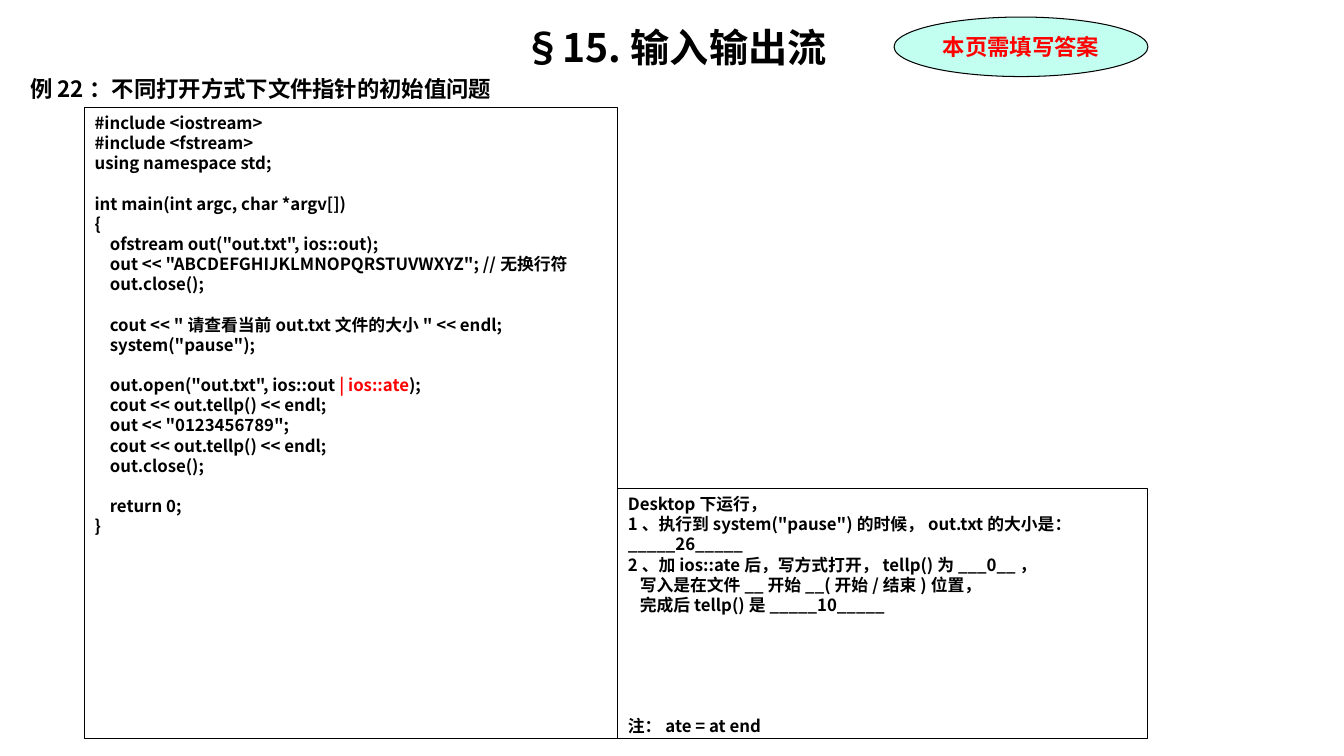
from dataclasses import dataclass, field

from lxml.etree import SubElement
from pptx import Presentation
from pptx.dml.color import RGBColor
from pptx.enum.shapes import MSO_SHAPE
from pptx.enum.text import MSO_ANCHOR, PP_ALIGN
from pptx.oxml.ns import qn
from pptx.util import Pt


@dataclass(frozen=True)
class Theme:
    black: RGBColor = RGBColor(0x00, 0x00, 0x00)
    red: RGBColor = RGBColor(0xFF, 0x00, 0x00)
    mint: RGBColor = RGBColor(0xC2, 0xFF, 0xF0)
    sans: str = "Noto Sans CJK SC"
    serif: str = "Times New Roman"
    title: float = 28
    heading: float = 16
    body: float = 12
    leading: float = 1.2
    outline: float = 0.75


THEME = Theme()
BODY_LINE = THEME.body * THEME.leading


@dataclass(frozen=True)
class Span:
    text: str
    color: RGBColor = THEME.black


@dataclass(frozen=True)
class Line:
    spans: list[Span]
    size: float = THEME.body
    align: PP_ALIGN = PP_ALIGN.LEFT
    before: float = 0
    indent: float = 0


@dataclass(frozen=True)
class Panel:
    left: float
    top: float
    width: float
    height: float
    lines: list[Line] = field(default_factory=list)
    preset: MSO_SHAPE | None = MSO_SHAPE.RECTANGLE
    fill: RGBColor | None = None
    latin: str = THEME.sans
    anchor: MSO_ANCHOR = MSO_ANCHOR.TOP


def code_lines(source: str, highlight: str) -> list[Line]:
    """One line per statement; an empty source line becomes space before."""
    lines, gap = [], 0.0
    for statement in source.strip().split("\n"):
        if not statement:
            gap += BODY_LINE
            continue
        head, mark, tail = statement.partition(highlight)
        spans = [Span(head), Span(mark, THEME.red), Span(tail)]
        lines.append(Line([span for span in spans if span.text], before=gap))
        gap = 0.0
    return lines


def write_line(paragraph, line: Line, latin: str) -> None:
    layout = {
        "alignment": line.align,
        "line_spacing": Pt(line.size * THEME.leading),
        "space_before": Pt(line.before),
    }
    for name, value in layout.items():
        setattr(paragraph, name, value)
    if line.indent:
        properties = paragraph._p.get_or_add_pPr()
        properties.set("marL", str(Pt(line.indent)))
        properties.set("indent", "0")
    for span in line.spans:
        run = paragraph.add_run()
        run.text = span.text
        for name, value in {"name": latin, "size": Pt(line.size), "bold": True}.items():
            setattr(run.font, name, value)
        run.font.color.rgb = span.color
        SubElement(run._r.get_or_add_rPr(), qn("a:ea")).set("typeface", THEME.sans)


def draw_panel(shapes, panel: Panel) -> None:
    frame = [Pt(v) for v in (panel.left, panel.top, panel.width, panel.height)]
    if panel.preset is None:
        shape = shapes.add_textbox(*frame)
    else:
        shape = shapes.add_shape(panel.preset, *frame)
        shape.shadow.inherit = False
        shape.line.color.rgb = THEME.black
        shape.line.width = Pt(THEME.outline)
        if panel.fill is None:
            shape.fill.background()
        else:
            shape.fill.solid()
            shape.fill.fore_color.rgb = panel.fill
    text = shape.text_frame
    for name, value in {"word_wrap": True, "vertical_anchor": panel.anchor}.items():
        setattr(text, name, value)
    for index, line in enumerate(panel.lines):
        paragraph = text.add_paragraph() if index else text.paragraphs[0]
        write_line(paragraph, line, panel.latin)


PROGRAM = """
#include <iostream>
#include <fstream>
using namespace std;

int main(int argc, char *argv[])
{
    ofstream out("out.txt", ios::out);
    out << "ABCDEFGHIJKLMNOPQRSTUVWXYZ"; //无换行符
    out.close();

    cout << "请查看当前out.txt文件的大小" << endl;
    system("pause");

    out.open("out.txt", ios::out | ios::ate);
    cout << out.tellp() << endl;
    out << "0123456789";
    cout << out.tellp() << endl;
    out.close();

    return 0;
}
"""

# Edges shared by the panels
SPLIT, RIGHT, BOTTOM = 441.4, 820, 527.8
CODE_LEFT, CODE_TOP, ANSWER_TOP = 60.5, 77, 349.2
BADGE_LEFT = 638.6
STEP_INDENT = 8.5

heading = Panel(14.4, 13, 935.3, 62, [
    Line([Span("§15.输入输出流")], THEME.title, PP_ALIGN.CENTER),
    Line([Span("例22：不同打开方式下文件指针的初始值问题")], THEME.heading, before=3.2),
], preset=None)

badge = Panel(BADGE_LEFT, 12.2, RIGHT - BADGE_LEFT, 42.5, [
    Line([Span("本页需填写答案", THEME.red)], THEME.heading, PP_ALIGN.CENTER),
], MSO_SHAPE.OVAL, THEME.mint, THEME.serif, MSO_ANCHOR.MIDDLE)

program = Panel(CODE_LEFT, CODE_TOP, SPLIT - CODE_LEFT, BOTTOM - CODE_TOP,
                code_lines(PROGRAM, " | ios::ate"))

answers = Panel(SPLIT, ANSWER_TOP, RIGHT - SPLIT, BOTTOM - ANSWER_TOP, [
    Line([Span("Desktop下运行，")]),
    Line([Span('1、执行到system("pause")的时候，out.txt的大小是：_____26_____')]),
    Line([Span("2、加ios::ate后，写方式打开，tellp()为___0__，")]),
    Line([Span("写入是在文件__开始__(开始/结束)位置，")], indent=STEP_INDENT),
    Line([Span("完成后tellp()是_____10_____")], indent=STEP_INDENT),
    Line([Span("注：ate = at end")], before=5 * BODY_LINE),
])


def main() -> None:
    deck = Presentation()
    deck.slide_width, deck.slide_height = Pt(960), Pt(540)
    slide = deck.slides.add_slide(deck.slide_layouts[6])
    for panel in (heading, badge, program, answers):
        draw_panel(slide.shapes, panel)
    deck.save("out.pptx")


if __name__ == "__main__":
    main()
